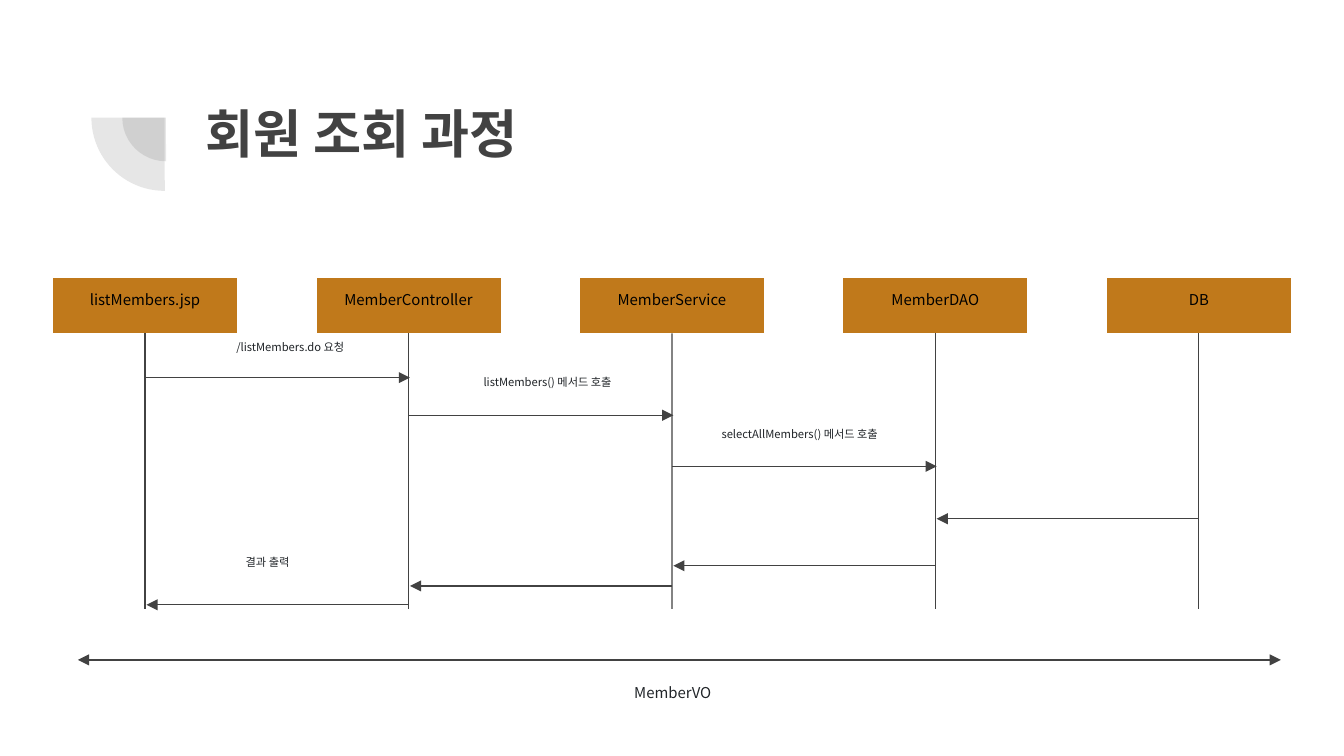
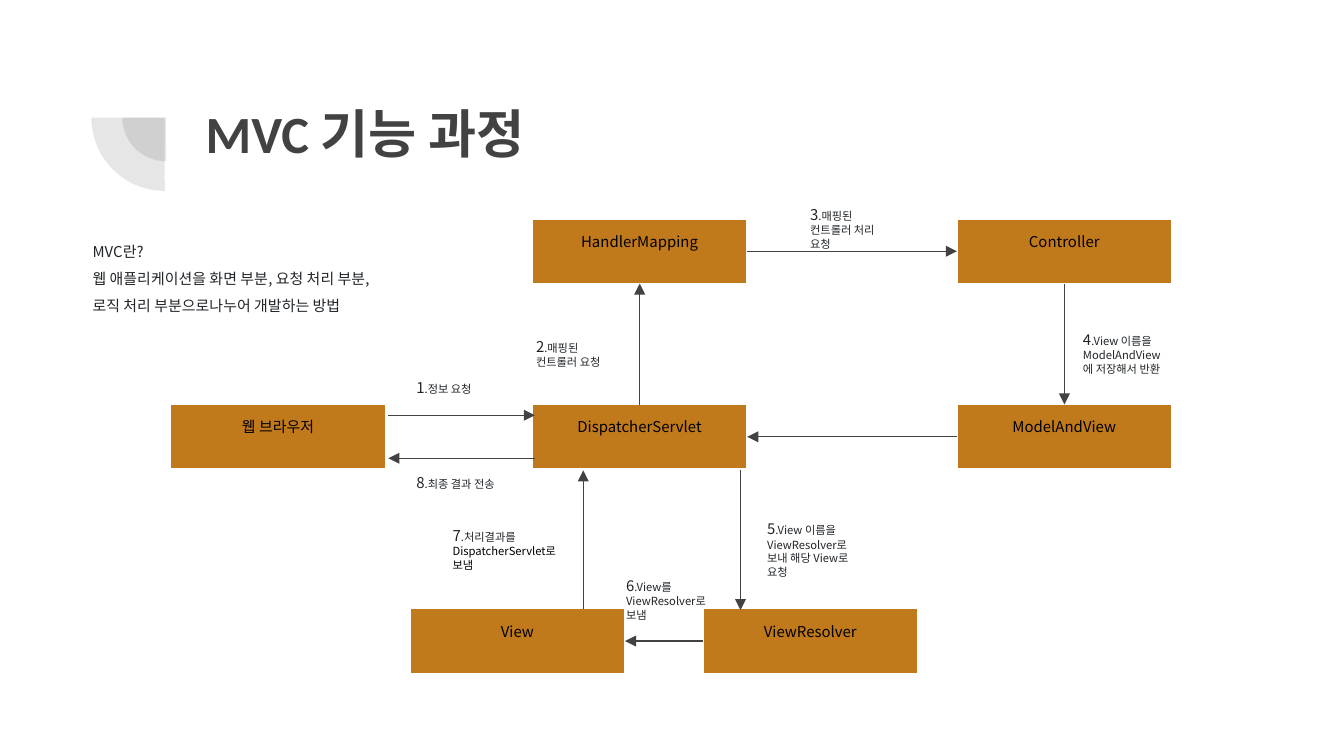
from dataclasses import dataclass
from typing import NamedTuple

from lxml import etree
from pptx import Presentation
from pptx import util as u
from pptx.dml.color import RGBColor
from pptx.enum import shapes, text
from pptx.oxml.ns import qn
from pptx.shapes.autoshape import Shape
from pptx.shapes.connector import Connector
from pptx.slide import Slide

COLORS = {
    "box": "C0791B",
    "box_text": "000000",
    "line": "424242",
    "label": "212529",
    "white": "FFFFFF",
}
TITLE_FONT = "Calibri"
BODY_FONT = "Noto Sans CJK KR"
TITLE_ONLY = 5
TOP, LEFT, BOTTOM, RIGHT = range(4)


class Point(NamedTuple):
    x: float
    y: float


@dataclass(frozen=True)
class Area:
    left: float
    top: float
    width: float
    height: float

    def lengths(self) -> tuple:
        return tuple(u.Inches(v) for v in (self.left, self.top, self.width, self.height))


@dataclass(frozen=True)
class Message:
    """A call between two lifelines, given by their positions in the row."""
    sender: int
    receiver: int
    y: float


@dataclass(frozen=True)
class Caption:
    text: str
    area: Area
    size: float = 6


@dataclass(frozen=True)
class Step:
    number: int
    text: str
    area: Area
    dark_text: str = ""


@dataclass(frozen=True)
class Link:
    source: str
    source_side: int
    target: str
    target_side: int


def rgb(name: str) -> RGBColor:
    return RGBColor.from_string(COLORS[name])


def style_run(run, size: float, color: str, font: str = BODY_FONT,
              bold: bool = False, highlight: bool = False) -> None:
    run.font.size = u.Pt(size)
    run.font.bold = bold
    run.font.color.rgb = rgb(color)
    if highlight:
        mark = etree.SubElement(run.font._element, qn("a:highlight"))
        etree.SubElement(mark, qn("a:srgbClr"), val=COLORS["white"])
    run.font.name = font


def set_frame(shape: Shape, grow: bool = False) -> None:
    frame = shape.text_frame
    frame.word_wrap = True
    frame.vertical_anchor = text.MSO_ANCHOR.TOP
    frame.auto_size = (text.MSO_AUTO_SIZE.SHAPE_TO_FIT_TEXT if grow
                       else text.MSO_AUTO_SIZE.NONE)
    frame.margin_left = frame.margin_right = u.Inches(0.1)
    frame.margin_top = frame.margin_bottom = u.Inches(0.1)


def add_corner_arcs(slide: Slide) -> None:
    """Draw the two translucent quarter circles beside the title."""
    for area in (Area(0.91, 0.55, 0.65, 0.65), Area(0.68, 0.33, 1.09, 1.09)):
        arc = slide.shapes.add_shape(shapes.MSO_SHAPE.PIE, *area.lengths())
        arc.adjustments[0], arc.adjustments[1] = 107.93, 162
        arc.rotation = 270
        arc.shadow.inherit = False
        arc.line.fill.background()
        arc.fill.solid()
        arc.fill.fore_color.rgb = rgb("line")
        color = arc.element.spPr.find(".//" + qn("a:srgbClr"))
        etree.SubElement(color, qn("a:alpha"), val="13000")


def add_titled_slide(presentation, title_text: str) -> Slide:
    slide = presentation.slides.add_slide(presentation.slide_layouts[TITLE_ONLY])
    add_corner_arcs(slide)
    title = slide.shapes.title
    title.left, title.top, title.width, title.height = Area(1.43, 0.65, 7.69, 1.09).lengths()
    title.text_frame.text = title_text
    set_frame(title)
    paragraph = title.text_frame.paragraphs[0]
    paragraph.alignment = text.PP_ALIGN.LEFT
    style_run(paragraph.runs[0], 28, "line", TITLE_FONT, bold=True)
    return slide


def add_rectangle(slide: Slide, area: Area, label: str, grow: bool = False) -> Shape:
    """Add a white-edged rectangle holding one line of text."""
    rectangle = slide.shapes.add_shape(shapes.MSO_SHAPE.RECTANGLE, *area.lengths())
    rectangle.shadow.inherit = False
    rectangle.line.color.rgb = rgb("white")
    rectangle.line.width = u.Pt(0.75)
    rectangle.text_frame.text = label
    set_frame(rectangle, grow)
    return rectangle


def add_box(slide: Slide, area: Area, label: str) -> Shape:
    box = add_rectangle(slide, area, label)
    box.fill.solid()
    box.fill.fore_color.rgb = rgb("box")
    paragraph = box.text_frame.paragraphs[0]
    paragraph.alignment = text.PP_ALIGN.CENTER
    style_run(paragraph.runs[0], 8, "box_text")
    return box


def add_caption(slide: Slide, caption: Caption) -> None:
    rectangle = add_rectangle(slide, caption.area, caption.text, grow=True)
    rectangle.fill.background()
    paragraph = rectangle.text_frame.paragraphs[0]
    paragraph.alignment = text.PP_ALIGN.LEFT
    style_run(paragraph.runs[0], caption.size, "label", highlight=True)


def add_step(slide: Slide, step: Step) -> None:
    box = slide.shapes.add_textbox(*step.area.lengths())
    box.text_frame.text = str(step.number)
    set_frame(box, grow=True)
    paragraph = box.text_frame.paragraphs[0]
    style_run(paragraph.runs[0], 8, "label", highlight=True)
    run = paragraph.add_run()
    run.text = step.text
    style_run(run, 6, "label", highlight=True)
    if step.dark_text:
        run = paragraph.add_run()
        run.text = step.dark_text
        style_run(run, 6, "box_text")


def add_line(slide: Slide, start: Point, end: Point, arrow: bool = True) -> Connector:
    line = slide.shapes.add_connector(
        shapes.MSO_CONNECTOR.STRAIGHT, *(u.Inches(v) for v in (*start, *end)))
    line.line.color.rgb = rgb("line")
    line.line.width = u.Pt(0.75)
    properties = line.element.spPr
    if arrow:
        etree.SubElement(properties.find(qn("a:ln")), qn("a:tailEnd"), type="triangle")
    etree.SubElement(properties, qn("a:effectLst"))
    return line


def build_member_slide(presentation) -> None:
    slide = add_titled_slide(presentation, "회원 조회 과정")
    participants = ["listMembers.jsp", "MemberController", "MemberService", "MemberDAO", "DB"]
    box_left, box_top, box_width, box_height, pitch = 0.39, 2.06, 1.38, 0.42, 1.96
    lifelines = [box_left + box_width / 2 + i * pitch for i in range(len(participants))]
    for i, (name, x) in enumerate(zip(participants, lifelines)):
        box = add_box(slide, Area(box_left + i * pitch, box_top, box_width, box_height), name)
        lifeline = add_line(slide, Point(x, box_top + box_height), Point(x, 4.53), arrow=False)
        lifeline.begin_connect(box, BOTTOM)

    messages = [
        Message(0, 1, 2.81), Message(1, 2, 3.09), Message(2, 3, 3.47), Message(4, 3, 3.86),
        Message(3, 2, 4.21), Message(2, 1, 4.36), Message(1, 0, 4.5),
    ]
    for message in messages:
        add_line(slide, Point(lifelines[message.sender], message.y),
                 Point(lifelines[message.receiver] + 0.01, message.y))
    for start_x, end_x in ((4.97, 0.58), (4.93, 9.53)):
        add_line(slide, Point(start_x, 4.91), Point(end_x, 4.91))

    captions = [
        Caption("MemberVO", Area(4.62, 5.02, 0.83, 0.34), 8),
        Caption("/listMembers.do 요청", Area(1.66, 2.48, 1.03, 0.3)),
        Caption("listMembers() 메서드 호출", Area(3.5, 2.74, 1.23, 0.3)),
        Caption("selectAllMembers() 메서드 호출", Area(5.27, 3.13, 1.42, 0.3)),
        Caption("결과 출력", Area(1.73, 4.08, 0.66, 0.3)),
    ]
    for caption in captions:
        add_caption(slide, caption)


def add_definition(slide: Slide) -> None:
    box = slide.shapes.add_textbox(*Area(0.59, 1.64, 2.38, 0.74).lengths())
    box.text_frame.text = (
        "MVC란?\n"
        "웹 애플리케이션을 화면 부분, 요청 처리 부분, 로직 처리 부분으로나누어 개발하는 방법")
    set_frame(box, grow=True)
    for paragraph in box.text_frame.paragraphs:
        paragraph.line_spacing = 1.5
        style_run(paragraph.runs[0], 8, "label")


def build_mvc_slide(presentation) -> None:
    slide = add_titled_slide(presentation, "MVC 기능 과정")
    components = {
        "웹 브라우저": Point(1.27, 3.01),
        "DispatcherServlet": Point(3.96, 3.01),
        "HandlerMapping": Point(3.96, 1.63),
        "Controller": Point(7.12, 1.63),
        "ModelAndView": Point(7.12, 3.01),
        "ViewResolver": Point(5.23, 4.53),
        "View": Point(3.05, 4.53),
    }
    boxes = {name: add_box(slide, Area(*corner, 1.6, 0.48), name)
             for name, corner in components.items()}

    links = [
        Link("DispatcherServlet", TOP, "HandlerMapping", BOTTOM),
        Link("HandlerMapping", RIGHT, "Controller", LEFT),
        Link("Controller", BOTTOM, "ModelAndView", TOP),
        Link("ModelAndView", LEFT, "DispatcherServlet", RIGHT),
        Link("ViewResolver", LEFT, "View", RIGHT),
    ]
    for link in links:
        arrow = add_line(slide, components[link.source], components[link.target])
        arrow.begin_connect(boxes[link.source], link.source_side)
        arrow.end_connect(boxes[link.target], link.target_side)

    off_centre_arrows = [
        (Point(2.89, 3.09), Point(3.98, 3.09)),
        (Point(3.98, 3.41), Point(2.89, 3.41)),
        (Point(5.51, 3.5), Point(5.51, 4.54)),
        (Point(4.34, 4.53), Point(4.34, 3.5)),
    ]
    for start, end in off_centre_arrows:
        add_line(slide, start, end)

    steps = [
        Step(1, ".정보 요청", Area(3, 2.75, 0.83, 0.34)),
        Step(2, ".매핑된 컨트롤러 요청", Area(3.89, 2.41, 0.83, 0.44)),
        Step(3, ".매핑된 컨트롤러 처리 요청", Area(5.93, 1.43, 0.83, 0.54)),
        Step(4, ".View 이름을 ModelAndView에 저장해서 반환", Area(7.96, 2.36, 0.83, 0.54)),
        Step(5, ".View 이름을 ViewResolver로 보내 해당 View로 요청",
             Area(5.61, 3.77, 0.83, 0.64)),
        Step(6, ".View를 ViewResolver로 보냄", Area(4.56, 4.19, 0.83, 0.54)),
        Step(7, ".처리결과를 ", Area(3.27, 3.82, 1, 0.54), "DispatcherServlet로 보냄"),
        Step(8, ".최종 결과 전송", Area(3, 3.46, 0.83, 0.34)),
    ]
    for step in steps:
        add_step(slide, step)
    add_definition(slide)


def main() -> None:
    presentation = Presentation()
    presentation.slide_width = u.Inches(10)
    presentation.slide_height = u.Inches(10 * 9 / 16)
    build_member_slide(presentation)
    build_mvc_slide(presentation)
    presentation.save("out.pptx")


if __name__ == "__main__":
    main()
